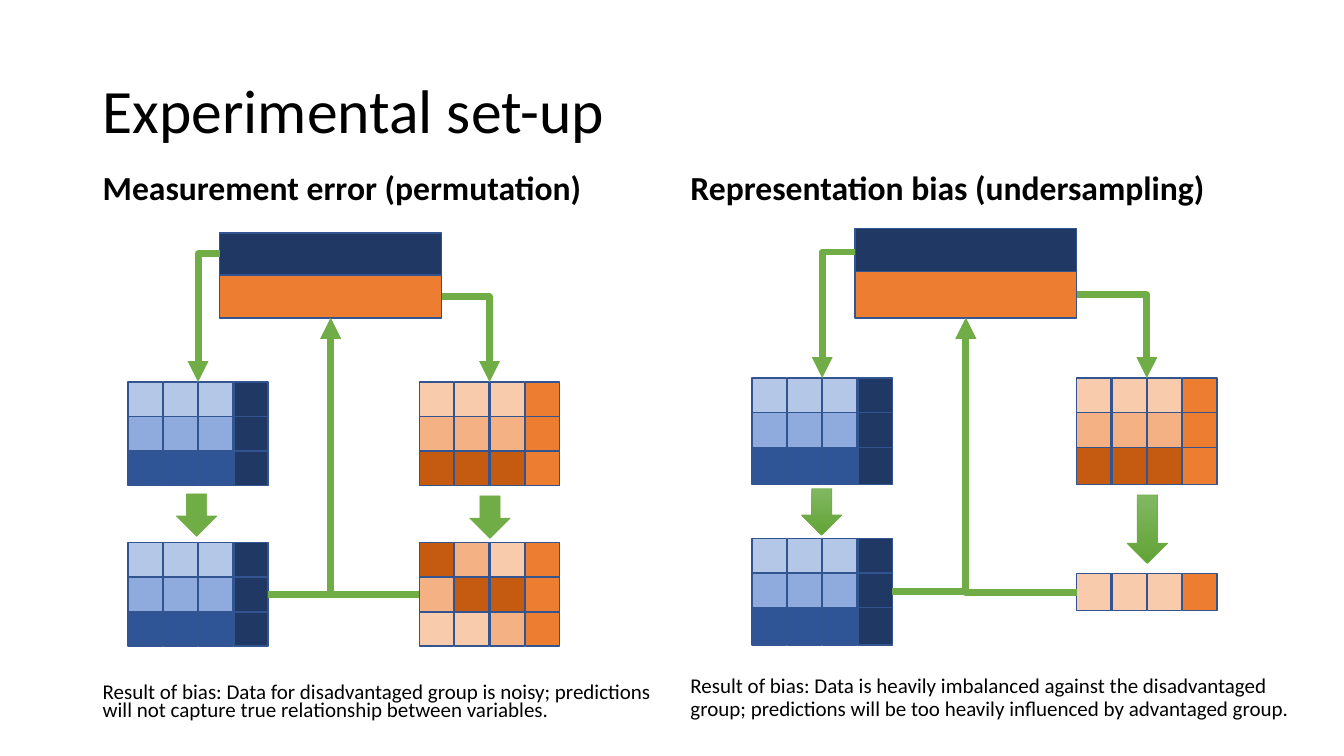
from pptx import Presentation
from pptx.dml.color import RGBColor
from pptx.enum.shapes import MSO_CONNECTOR, MSO_SHAPE
from pptx.enum.text import MSO_ANCHOR
from pptx.oxml.ns import qn
from pptx.util import Inches, Pt
from lxml.etree import SubElement

NAVY, ORANGE, EDGE, GREEN = "203864", "ED7D31", "325491", "70AD47"
TONES = {
    "a": "B4C7E7", "b": "8FAADC", "c": "2F5597", "N": NAVY,
    "x": "F8CBAD", "y": "F4B183", "z": "C55A11", "O": ORANGE,
}
BLUE = ["aaaN", "bbbN", "cccN"]
PEACH = ["xxxO", "yyyO", "zzzO"]
NOISY = ["zyxO", "yzzO", "xxyO"]
TOP, LEFT, BASE, RIGHT = range(4)
CELL, COL, ROW = 0.34, 0.35, 0.345

TITLE = {"size": Pt(44)}
HEAD = {"size": Pt(24), "bold": True}
NOTE = {"size": Pt(15)}


def tint(color, value):
    color.rgb = RGBColor.from_string(value)


def add_text(slide, box, words, style, anchor=MSO_ANCHOR.BOTTOM, space=0.9):
    frame = slide.shapes.add_textbox(*map(Inches, box)).text_frame
    frame.word_wrap = True
    frame.vertical_anchor = anchor
    para = frame.paragraphs[0]
    para.line_spacing = space
    run = para.add_run()
    run.text = words
    for key, value in {"name": "Calibri", **style}.items():
        setattr(run.font, key, value)
    tint(run.font.color, "000000")


def add_block(shapes, kind, box, fill, edge=EDGE, width=1):
    block = shapes.add_shape(kind, *map(Inches, box))
    block.shadow.inherit = False
    block.fill.solid()
    tint(block.fill.fore_color, fill)
    tint(block.line.color, edge)
    block.line.width = Pt(width)
    return block


def add_grid(slide, left, top, rows, height):
    group = slide.shapes.add_group_shape()
    for r, row in enumerate(rows):
        for c, code in enumerate(row):
            box = (left + c * COL, top + r * ROW, CELL, height)
            add_block(group.shapes, MSO_SHAPE.RECTANGLE, box, TONES[code])
    return group


def add_down(slide, box, shaded):
    arrow = add_block(slide.shapes, MSO_SHAPE.DOWN_ARROW, box, GREEN, GREEN, 0.5)
    if shaded:
        arrow.fill.gradient()
        arrow.fill.gradient_angle = 270
        for stop, value in zip(arrow.fill.gradient_stops, ("81B861", "62A336")):
            tint(stop.color, value)


def add_elbow(slide, start, side, end, goal):
    elbow = slide.shapes.add_connector(MSO_CONNECTOR.ELBOW, 0, 0, 0, 0)
    elbow.begin_connect(start, side)
    elbow.end_connect(end, goal)
    tint(elbow.line.color, GREEN)
    elbow.line.width = Pt(5)
    props = elbow._element.spPr
    props.find(qn("a:prstGeom")).set("prst", "bentConnector2")
    SubElement(props.find(qn("a:ln")), qn("a:tailEnd"), type="triangle")
    SubElement(props, qn("a:effectLst"))


def add_flow(slide, bars, grids, downs, height, shaded):
    left, top, tall = bars
    upper, lower = [
        add_block(slide.shapes, MSO_SHAPE.RECTANGLE, (left, y, 2.2, tall), fill)
        for y, fill in ((top, NAVY), (top + 0.425, ORANGE))
    ]
    blue, peach, kept, biased = [
        add_grid(slide, x, y, rows, height) for x, y, rows in grids
    ]
    for box in downs:
        add_down(slide, box, shaded)
    add_elbow(slide, upper, LEFT, blue, TOP)
    add_elbow(slide, lower, RIGHT, peach, TOP)
    add_elbow(slide, kept, RIGHT, lower, BASE)
    add_elbow(slide, biased, LEFT, lower, BASE)


def main():
    deck = Presentation()
    deck.slide_width, deck.slide_height = Inches(13.33), Inches(7.5)
    slide = deck.slides.add_slide(deck.slide_layouts[6])

    add_text(slide, (0.92, 0.4, 11.5, 1.45), "Experimental set-up", TITLE,
             MSO_ANCHOR.MIDDLE)
    add_text(slide, (0.92, 1.65, 5.64, 0.46),
             "Measurement error (permutation)", HEAD)
    add_text(slide, (6.75, 1.65, 5.67, 0.46),
             "Representation bias (undersampling)", HEAD)

    add_flow(
        slide, (2.18, 2.31, 0.42),
        [(1.27, 3.79, BLUE), (4.16, 3.79, PEACH),
         (1.27, 5.38, BLUE), (4.16, 5.38, NOISY)],
        [(1.75, 4.9, 0.4, 0.42), (4.66, 4.92, 0.4, 0.42)],
        CELL, False)
    add_flow(
        slide, (8.48, 2.27, 0.46),
        [(7.46, 3.75, BLUE), (10.68, 3.75, PEACH),
         (7.46, 5.34, BLUE), (10.68, 5.69, PEACH[:1])],
        [(7.95, 4.85, 0.4, 0.46), (11.18, 4.91, 0.4, 0.68)],
        0.37, True)

    add_text(slide, (0.92, 6.74, 5.64, 0.46),
             "Result of bias: Data for disadvantaged group is noisy; predictions "
             "will not capture true relationship between variables.",
             NOTE, space=0.7)
    add_text(slide, (6.75, 6.74, 6.23, 0.46),
             "Result of bias: Data is heavily imbalanced against the disadvantaged "
             "group; predictions will be too heavily influenced by advantaged group.",
             NOTE)
    deck.save("out.pptx")


if __name__ == "__main__":
    main()
